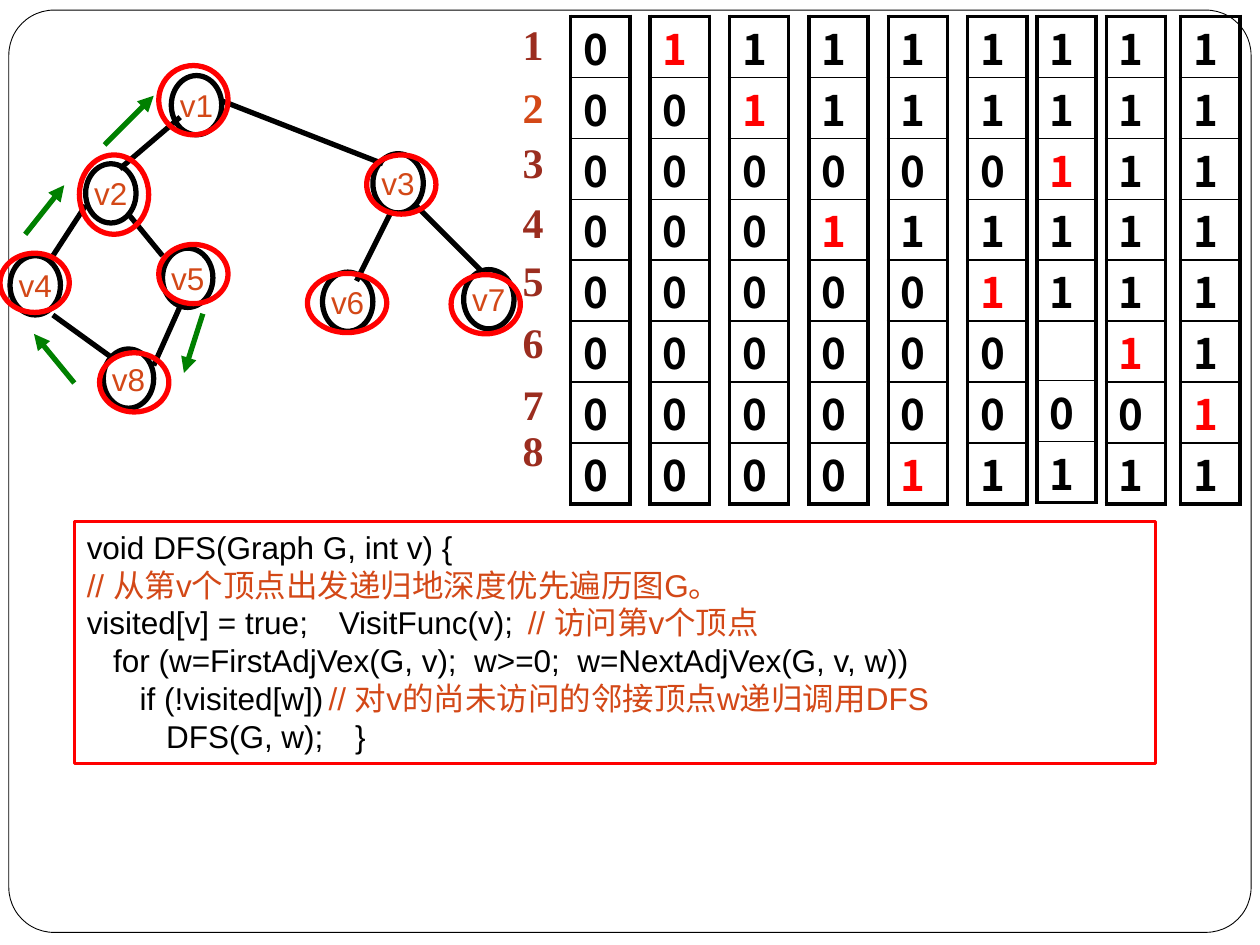
import pptx
import pptx.util
import pptx.oxml.ns
import pptx.dml.color
import pptx.enum.shapes
import pptx.enum.text
import lxml.etree

Inches = pptx.util.Inches
Pt = pptx.util.Pt
RGB = pptx.dml.color.RGBColor
SHAPE = pptx.enum.shapes.MSO_SHAPE
ALIGN = pptx.enum.text.PP_ALIGN
ANCHOR = pptx.enum.text.MSO_ANCHOR
qn = pptx.oxml.ns.qn

BLACK = RGB(0, 0, 0)
WHITE = RGB(255, 255, 255)
RED = RGB(255, 0, 0)
GREEN = RGB(0, 128, 0)
ORANGE = RGB(0xD3, 0x48, 0x17)
BROWN = RGB(0x9B, 0x2D, 0x1F)
PLAIN = "{2D5ABB26-0587-4C30-8999-92F81FD0307C}"

NODES = [
    ("v1", 1.36, 0.10, (1.26, 0.02, 0.55, 0.55)),
    ("v2", 0.68, 0.80, (0.63, 0.73, 0.55, 0.63)),
    ("v3", 2.96, 0.72, (2.91, 0.73, 0.55, 0.47)),
    ("v4", 0.08, 1.53, (0, 1.51, 0.55, 0.47)),
    ("v5", 1.29, 1.47, (1.26, 1.44, 0.55, 0.47)),
    ("v6", 2.56, 1.66, (2.44, 1.67, 0.63, 0.47)),
    ("v7", 3.68, 1.64, (3.58, 1.68, 0.55, 0.47)),
    ("v8", 0.82, 2.27, (0.79, 2.30, 0.55, 0.47)),
]
EDGES = [
    (1.76, 0.30, 3.04, 0.80), (1.43, 0.43, 0.95, 0.84),
    (1.02, 1.20, 1.29, 1.53), (3.30, 1.13, 3.84, 1.67),
    (3.10, 1.19, 2.83, 1.73), (0.68, 1.13, 0.42, 1.53),
    (0.42, 2.00, 0.89, 2.34), (1.43, 1.93, 1.22, 2.40),
]
ARROWS = [
    (1.61, 1.99, 1.46, 2.46), (0.59, 2.54, 0.27, 2.15),
    (0.20, 1.36, 0.51, 0.97), (0.83, 0.65, 1.22, 0.26),
]
STEPS = [
    (4.53, "00000000", None), (5.16, "10000000", 0), (5.79, "11000000", 1),
    (6.42, "11010000", 3), (7.05, "11010001", 7), (7.68, "11011001", 4),
    (8.23, "11111 01", 2), (8.78, "11111101", 5), (9.37, "11111111", 6),
]
LABELS = [
    (0.5, [("1", 1)]), (0.5, [("2", 1)]), (0.54, [("3", 0.8)]),
    (0.46, [("4", 0.6)]), (0.49, [("5", 0.6)]),
    (1.3, [("6", 0.6), ("7", 1.4), ("8", 1)]),
]
CODE = [
    (0, [], [("void DFS(Graph G, int v) {", BLACK)]),
    (0, [], [("// 从第v个顶点出发递归地深度优先遍历图G。", ORANGE)]),
    (0, [1.96, 3.48], [("visited[v] = true;\tVisitFunc(v);\t", BLACK),
                       ("// 访问第v个顶点", ORANGE)]),
    (1, [], [("for (w=FirstAdjVex(G, v);  w>=0;  w=NextAdjVex(G, v, w))", BLACK)]),
    (2, [2.08], [("if (!visited[w])\t", BLACK),
                 ("// 对v的尚未访问的邻接顶点w递归调用DFS", ORANGE)]),
    (3, [2.5], [("DFS(G, w);\t}", BLACK)]),
]


def add_run(para, text, font, size, color, bold=False):
    run = para.add_run()
    run.text = text
    run.font.name = font
    run.font.size = Pt(size)
    run.font.bold = bold
    run.font.color.rgb = color


def add_form(shapes, kind, box, color, width, fill=None):
    shape = shapes.add_shape(kind, *map(Inches, box))
    shape.shadow.inherit = False
    if fill is None:
        shape.fill.background()
    else:
        shape.fill.solid()
        shape.fill.fore_color.rgb = fill
    shape.line.color.rgb = color
    shape.line.width = Pt(width)
    return shape


def add_line(shapes, ends, color, arrow=False):
    line = shapes.add_connector(
        pptx.enum.shapes.MSO_CONNECTOR.STRAIGHT, *map(Inches, ends))
    line.line.color.rgb = color
    line.line.width = Pt(3)
    if arrow:
        lxml.etree.SubElement(line.line._get_or_add_ln(), qn("a:tailEnd"), type="triangle")
    lxml.etree.SubElement(line._element.spPr, qn("a:effectLst"))


def add_grid(slide, box, heights):
    frame = slide.shapes.add_table(len(heights), 1, *map(Inches, box))
    table = frame.table
    table.first_row = table.horz_banding = False
    table._tbl.tblPr.find(qn("a:tableStyleId")).text = PLAIN
    table.columns[0].width = Inches(box[2])
    for row, height in zip(table.rows, heights):
        row.height = Inches(height)
    return [row.cells[0] for row in table.rows]


def add_edge(cell, side, width):
    line = lxml.etree.SubElement(
        cell._tc.get_or_add_tcPr(), qn("a:ln" + side), w=str(Pt(width)))
    fill = lxml.etree.SubElement(line, qn("a:solidFill"))
    lxml.etree.SubElement(fill, qn("a:srgbClr"), val=str(BLACK))


def draw_frame(slide, box):
    frame = add_form(slide.shapes, SHAPE.ROUNDED_RECTANGLE, box, BLACK, 0.5, WHITE)
    frame.adjustments[0] = 0.049


def draw_graph(slide, box):
    left, top = box[:2]

    def shift(ends):
        return [ends[0] + left, ends[1] + top, ends[2] + left, ends[3] + top]

    tree = slide.shapes.add_group_shape().shapes
    for name, x, y, ring in NODES:
        node = add_form(tree, SHAPE.OVAL, (left + x, top + y, 0.4, 0.47), BLACK, 3)
        node.text_frame.word_wrap = False
        node.text_frame.vertical_anchor = ANCHOR.MIDDLE
        para = node.text_frame.paragraphs[0]
        para.alignment = ALIGN.CENTER
        add_run(para, name, "Arial", 18, ORANGE)
    for ends in EDGES:
        add_line(tree, shift(ends), BLACK)
    for name, x, y, ring in NODES:
        add_form(slide.shapes, SHAPE.OVAL,
                 (left + ring[0], top + ring[1], *ring[2:]), RED, 3)
    for ends in ARROWS:
        add_line(slide.shapes, shift(ends), GREEN, True)


def draw_labels(slide, box):
    cells = add_grid(slide, box, [height for height, lines in LABELS])
    for cell, (height, lines) in zip(cells, LABELS):
        cell.fill.background()
        frame = cell.text_frame
        for i, (text, space) in enumerate(lines):
            para = frame.add_paragraph() if i else frame.paragraphs[0]
            para.alignment = ALIGN.CENTER
            para.line_spacing = float(space)
            add_run(para, text, "Times New Roman", 24,
                    ORANGE if text == "2" else BROWN, True)


def draw_step(slide, box, bits, mark):
    count = len(bits)
    cells = add_grid(slide, box, [box[3] / count] * count)
    for i, (cell, bit) in enumerate(zip(cells, bits)):
        cell.margin_top = cell.margin_bottom = 0
        add_edge(cell, "L", 2.25)
        add_edge(cell, "R", 2.25)
        add_edge(cell, "T", 2.25 if i == 0 else 1)
        add_edge(cell, "B", 2.25 if i == count - 1 else 1)
        cell.fill.background()
        if bit != " ":
            para = cell.text_frame.paragraphs[0]
            space = lxml.etree.SubElement(para._p.get_or_add_pPr(), qn("a:spcBef"))
            lxml.etree.SubElement(space, qn("a:spcPct"), val="20000")
            add_run(para, bit, "Noto Sans CJK SC", 24, RED if i == mark else BLACK, True)


def draw_code(slide, box):
    frame = add_form(slide.shapes, SHAPE.RECTANGLE, box, RED, 1.5).text_frame
    frame.word_wrap = True
    frame.vertical_anchor = ANCHOR.TOP
    for i, (depth, stops, runs) in enumerate(CODE):
        para = frame.add_paragraph() if i else frame.paragraphs[0]
        para.alignment = ALIGN.LEFT
        props = para._p.get_or_add_pPr()
        props.set("marL", str(Inches(0.21 * depth)))
        props.set("indent", "0")
        if stops:
            tabs = lxml.etree.SubElement(props, qn("a:tabLst"))
            for stop in stops:
                lxml.etree.SubElement(tabs, qn("a:tab"), pos=str(Inches(stop)), algn="l")
        for text, color in runs:
            add_run(para, text, "Arial", 18, color)


def main():
    deck = pptx.Presentation()
    deck.slide_width, deck.slide_height = Inches(10), Inches(7.5)
    slide = deck.slides.add_slide(deck.slide_layouts[6])
    draw_frame(slide, (0.07, 0.08, 9.86, 7.32))
    draw_graph(slide, (0, 0.5, 4.14, 2.8))
    draw_code(slide, (0.59, 4.14, 8.58, 1.92))
    draw_labels(slide, (3.98, 0.13, 0.5, 3.78))
    for left, bits, mark in STEPS:
        draw_step(slide, (left, 0.13, 0.47, 3.78), bits, mark)
    deck.save("out.pptx")


if __name__ == "__main__":
    main()
